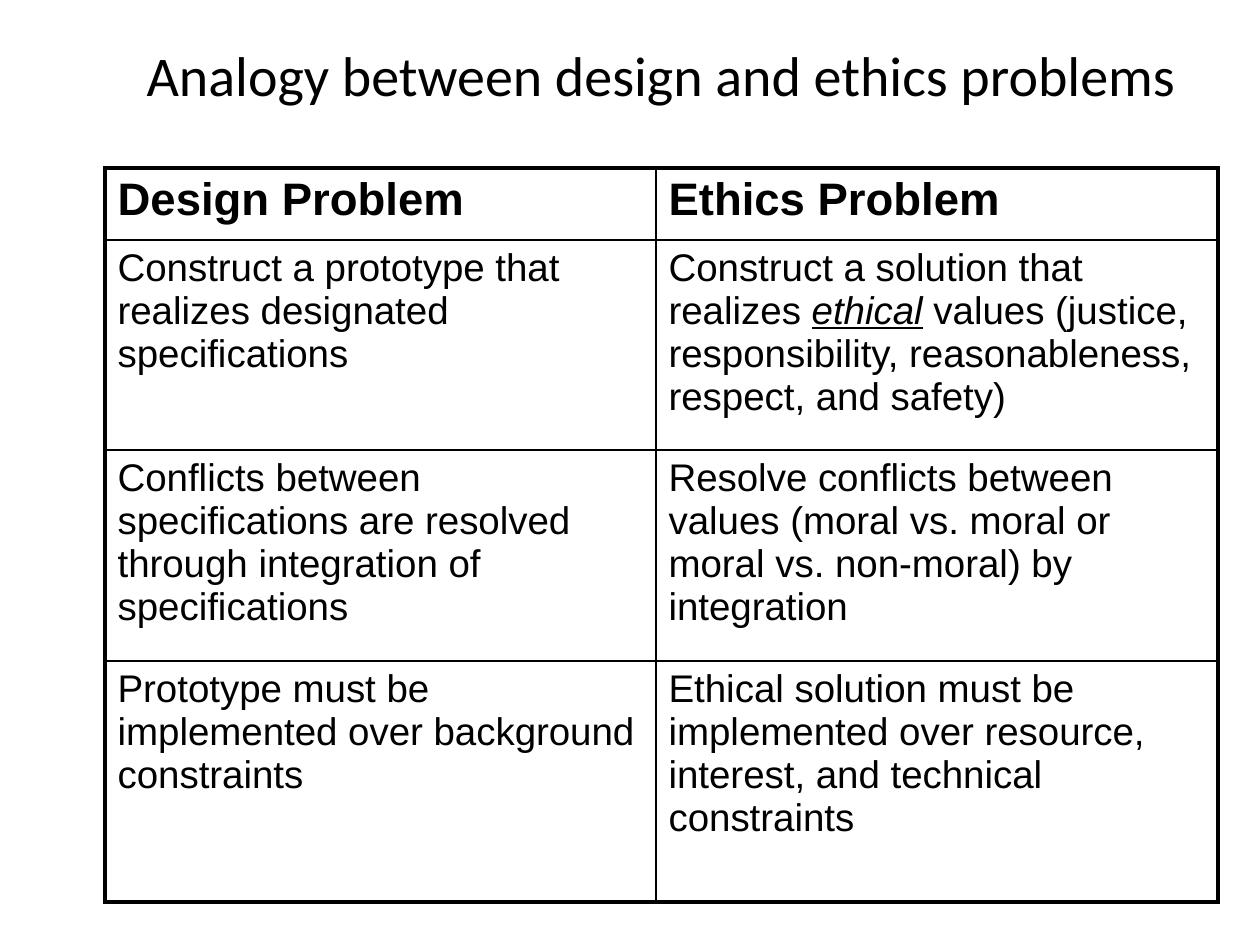
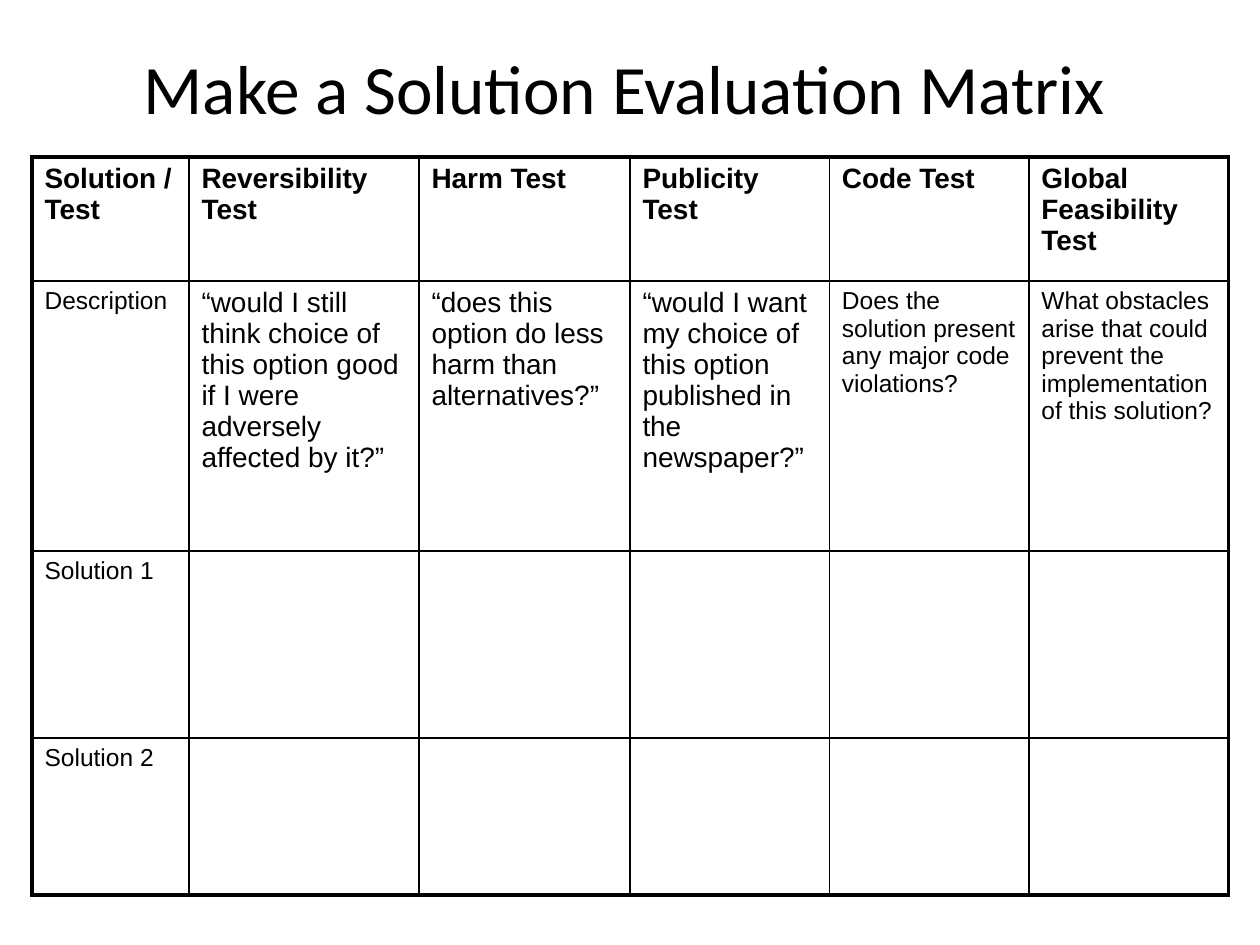
"""Builds two slides with ruled tables on design and ethics problems."""
from lxml import etree
from pptx import Presentation
from pptx.dml.color import RGBColor
from pptx.enum.text import MSO_ANCHOR, PP_ALIGN
from pptx.oxml.ns import qn
from pptx.util import Emu, Pt

CENTER = PP_ALIGN.CENTER
MIDDLE = MSO_ANCHOR.MIDDLE

PX_PER_INCH = 126
BLANK_LAYOUT = 6
BLACK = "000000"
WHITE = "FFFFFF"
TITLE_FONT = "Calibri"
TABLE_FONT = "Arial"
OUTER_RULE = 2.25
INNER_RULE = 1

ANALOGY_ROWS = [
    ["Design Problem", "Ethics Problem"],
    ["Construct a prototype that realizes designated specifications",
     ["Construct a solution that realizes ", "ethical",
      " values (justice, responsibility, reasonableness, respect, and safety)"]],
    ["Conflicts between specifications are resolved through integration of specifications",
     "Resolve conflicts between values (moral vs. moral or moral vs. non-moral) by integration"],
    ["Prototype must be implemented over background constraints",
     "Ethical solution must be implemented over resource, interest, and technical constraints"],
]
MATRIX_ROWS = [
    ["Solution / Test", "Reversibility Test", "Harm Test", "Publicity Test",
     "Code Test", "Global Feasibility Test"],
    ["Description",
     "“would I still think choice of this option good if I were adversely affected by it?”",
     "“does this option do less harm than alternatives?”",
     "“would I want my choice of this option published in the newspaper?”",
     "Does the solution present any major code violations?",
     "What obstacles arise that could prevent the implementation of this solution?"],
    ["Solution 1"] + [""] * 5,
    ["Solution 2"] + [""] * 5,
]


def px(length):
    """Turn whole pixels into EMU."""
    return Emu(round(length * 914400 / PX_PER_INCH))


def color(hex_string):
    """Turn a hex string into a colour."""
    return RGBColor.from_string(hex_string)


def format_font(font, name, size, bold=False):
    """Set the typeface, size, weight and the shared text colour."""
    font.name = name
    font.size = Pt(size)
    font.bold = bold
    font.color.rgb = color(BLACK)


def add_title(slide, text, box, size):
    """Add a centred title in a box of left, top, width and height."""
    text_frame = slide.shapes.add_textbox(*map(px, box)).text_frame
    text_frame.word_wrap = True
    text_frame.vertical_anchor = MIDDLE
    text_frame.text = text
    paragraph = text_frame.paragraphs[0]
    paragraph.alignment = CENTER
    format_font(paragraph.runs[0].font, TITLE_FONT, size)


def add_border(cell, side, width):
    """Add a solid rule to one side (L, R, T or B) of a cell."""
    properties = cell._tc.get_or_add_tcPr()
    line = etree.SubElement(properties, qn(f"a:ln{side}"), w=str(Pt(width)))
    fill = etree.SubElement(line, qn("a:solidFill"))
    etree.SubElement(fill, qn("a:srgbClr"), val=BLACK)


def write_cell(cell, content, size, bold):
    """Write a text, or a list of texts whose odd entries are emphasized."""
    pieces = [content] if isinstance(content, str) else content
    paragraph = cell.text_frame.paragraphs[0]
    for index, piece in enumerate(pieces):
        run = paragraph.add_run()
        run.text = piece
        format_font(run.font, TABLE_FONT, size, bold)
        if index % 2:
            run.font.italic = True
            run.font.underline = True


def add_ruled_table(slide, left, top, widths, heights, rows, size_of):
    """Add a table with a heavy frame; size_of(row, column) gives text sizes."""
    last_row, last_column = len(heights) - 1, len(widths) - 1
    table = slide.shapes.add_table(
        len(heights), len(widths), px(left), px(top),
        px(sum(widths)), px(sum(heights))).table
    table.horz_banding = False
    table.first_row = False
    for column, width in zip(table.columns, widths):
        column.width = px(width)
    for row, height in zip(table.rows, heights):
        row.height = px(height)
    for row_index, contents in enumerate(rows):
        for column_index, content in enumerate(contents):
            cell = table.cell(row_index, column_index)
            on_frame = {
                "L": column_index == 0,
                "R": column_index == last_column,
                "T": row_index == 0,
                "B": row_index == last_row,
            }
            for side, outer in on_frame.items():
                add_border(cell, side, OUTER_RULE if outer else INNER_RULE)
            cell.fill.solid()
            cell.fill.fore_color.rgb = color(WHITE)
            if content:
                write_cell(cell, content, size_of(row_index, column_index),
                           bold=row_index == 0)


def analogy_size(row, column):
    """Give the text size of a cell in the analogy table."""
    return 26 if row == 0 else 22


def matrix_size(row, column):
    """Give the text size of a cell in the evaluation matrix."""
    return 16 if row == 0 or column in (1, 2, 3) else 14


def add_analogy_slide(presentation):
    """Add the slide comparing design and ethics problems."""
    slide = presentation.slides.add_slide(presentation.slide_layouts[BLANK_LAYOUT])
    add_title(slide, "Analogy between design and ethics problems",
              (126, 32, 1071, 84), 32)
    add_ruled_table(slide, 105, 168, [551, 562], [72, 210, 211, 241],
                    ANALOGY_ROWS, analogy_size)


def add_matrix_slide(presentation):
    """Add the slide with the solution evaluation matrix."""
    slide = presentation.slides.add_slide(presentation.slide_layouts[BLANK_LAYOUT])
    add_title(slide, "Make a Solution Evaluation Matrix",
              (21, 38, 1207, 98), 39.6)
    add_ruled_table(slide, 32, 157, [157, 230, 211] + [199.5] * 3,
                    [124, 270, 187, 157], MATRIX_ROWS, matrix_size)


def main():
    """Build and save the presentation."""
    presentation = Presentation()
    presentation.slide_width = px(1260)
    presentation.slide_height = px(945)
    add_analogy_slide(presentation)
    add_matrix_slide(presentation)
    presentation.save("out.pptx")


if __name__ == "__main__":
    main()
